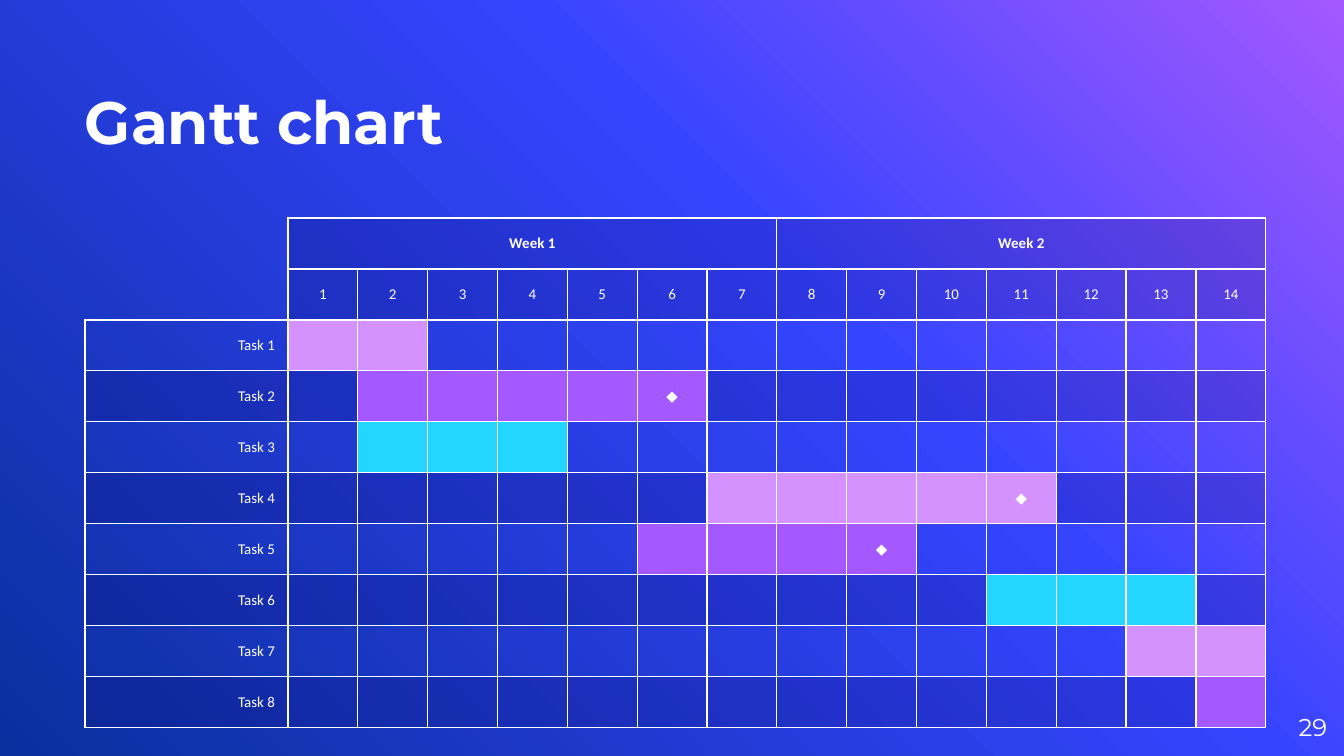
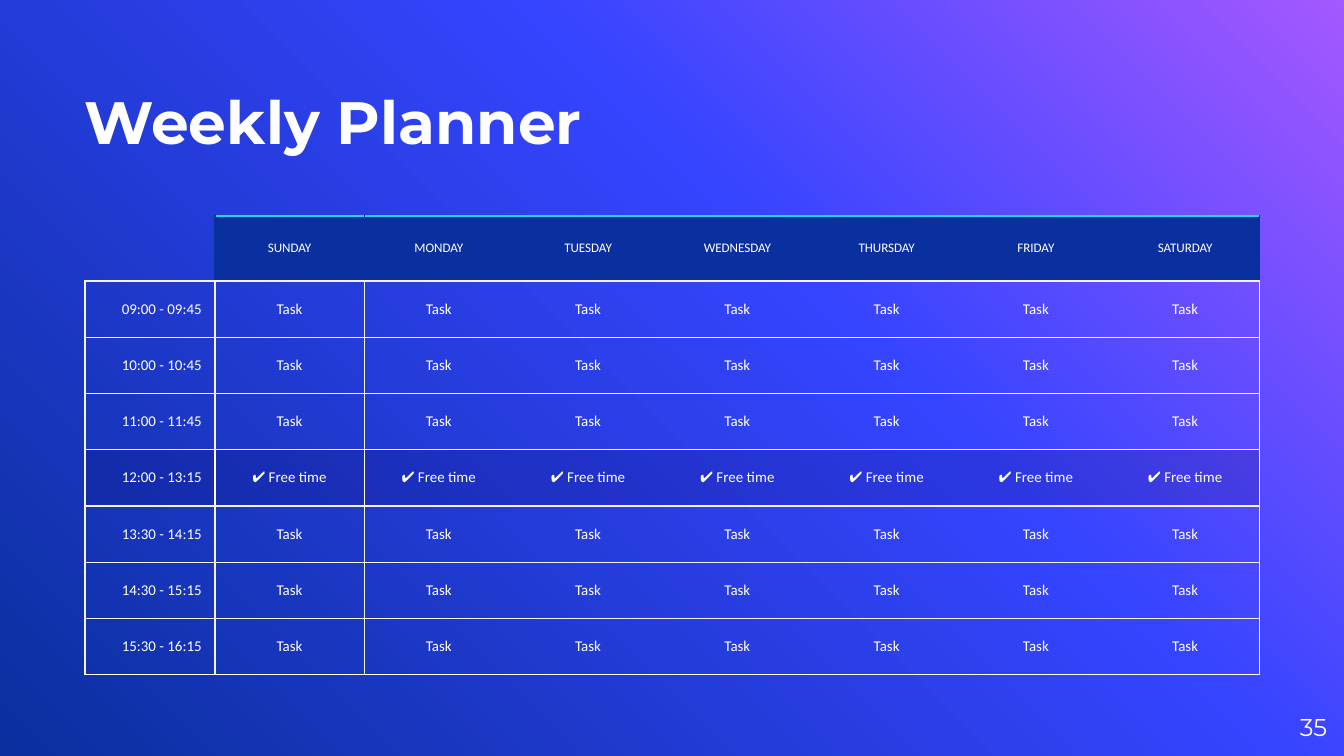
"""Build a Gantt chart slide and a weekly planner slide on a shared gradient."""
from lxml.etree import SubElement
from pptx import Presentation
from pptx.dml.color import RGBColor as RGB
from pptx.enum.text import MSO_ANCHOR as ANCHOR, MSO_AUTO_SIZE as FIT, PP_ALIGN as ALIGN
from pptx.oxml import parse_xml
from pptx.oxml.ns import nsdecls, qn
from pptx.util import Pt

PX = 914400 / 134.4
HUES = {
    "white": "FFFFFF", "mist": "F3F3F3", "navy": "0A2F9E", "blue": "3544FF",
    "violet": "A458FF", "lilac": "D392FF", "cyan": "24D6FF", "veil": "050060",
}
NO_STYLE = "{2D5ABB26-0587-4C30-8999-92F81FD0307C}"
PAGES = [("Gantt chart", "29"), ("Weekly Planner", "35")]
BARS = [
    (1, 2, "lilac", 0), (2, 6, "violet", 6), (2, 4, "cyan", 0), (7, 11, "lilac", 11),
    (6, 9, "violet", 9), (11, 13, "cyan", 0), (13, 14, "lilac", 0), (14, 14, "violet", 0),
]
DAYS = ["SUNDAY", "MONDAY", "TUESDAY", "WEDNESDAY", "THURSDAY", "FRIDAY", "SATURDAY"]
HOURS = [
    "09:00 - 09:45", "10:00 - 10:45", "11:00 - 11:45", "12:00 - 13:15",
    "13:30 - 14:15", "14:30 - 15:15", "15:30 - 16:15",
]


def write(frame, text, size, face, align, bold=False):
    """Set one styled line of white text."""
    frame.text = text
    line = frame.paragraphs[0]
    line.alignment = align
    for run in line.runs:
        run.font.size, run.font.name, run.font.bold = Pt(size), face, bold
        run.font.color.rgb = RGB.from_string(HUES["white"])
    if not text:
        line._p.get_or_add_endParaRPr().set("sz", str(size * 100))


def dress(cell, text, size, align, pad, fill, edges, bold=False):
    """Fill in a table cell with its text, tint and borders."""
    write(cell.text_frame, text, size, "Calibri", align, bold)
    cell.vertical_anchor = ANCHOR.MIDDLE
    cell.margin_left = cell.margin_right = int(13 * PX)
    cell.margin_top = cell.margin_bottom = int(pad * PX)
    cell.fill.background()
    props = cell._tc.get_or_add_tcPr()
    if fill:
        cell.fill.solid()
        cell.fill.fore_color.rgb = RGB.from_string(HUES[fill])
    if fill == "veil":
        SubElement(props.find(".//" + qn("a:srgbClr")), qn("a:alpha"), val="18000")
    sides = [side for side in "LRTB" if side in edges]
    for spot, side in enumerate(sides):
        props.insert(spot, parse_xml(
            f'<a:ln{side} {nsdecls("a")} w="9525"><a:solidFill>'
            f'<a:srgbClr val="{HUES[edges[side]]}"/></a:solidFill></a:ln{side}>'))


deck = Presentation()
deck.slide_width, deck.slide_height = int(1344 * PX), int(756 * PX)

stops = "".join(
    f'<a:gs pos="{spot * 1000}"><a:srgbClr val="{HUES[hue]}"/></a:gs>'
    for spot, hue in [(0, "violet"), (39, "blue"), (100, "navy")])
base = deck.slide_master.element.cSld
base.remove(base.bg)
base.insert(0, parse_xml(
    f'<p:bg {nsdecls("p", "a")}><p:bgPr><a:gradFill rotWithShape="1"><a:gsLst>{stops}</a:gsLst>'
    '<a:lin ang="8100000" scaled="0"/></a:gradFill><a:effectLst/></p:bgPr></p:bg>'))

slides = []
for name, page in PAGES:
    slide = deck.slides.add_slide(deck.slide_layouts[5])
    title = slide.shapes.title
    title.left, title.top, title.width, title.height = [int(n * PX) for n in (85, 31, 884, 126)]
    foot = slide.shapes.add_textbox(*[int(n * PX) for n in (1246, 698, 81, 58)])
    write(title.text_frame, name, 32, "Montserrat", ALIGN.LEFT, True)
    write(foot.text_frame, page, 13, "Montserrat", ALIGN.RIGHT)
    for box, anchor in [(title, ANCHOR.BOTTOM), (foot, ANCHOR.MIDDLE)]:
        frame = box.text_frame
        frame.margin_left = frame.margin_right = frame.margin_top = frame.margin_bottom = 0
        frame.word_wrap, frame.auto_size = True, FIT.NONE
        frame.vertical_anchor = anchor
    slides.append(slide)

SIZES = [
    (10, 15, 85, 218, 203, 978, 51, 459),
    (8, 8, 85, 216, 130, 1045, 65, 394),
]
grids = []
for slide, (rows, cols, left, top, side, wide, head, tall) in zip(slides, SIZES):
    grid = slide.shapes.add_table(
        rows, cols, *[int(n * PX) for n in (left, top, side + wide, head + tall)]).table
    grid.first_row = grid.horz_banding = False
    grid._tbl.tblPr.find(qn("a:tableStyleId")).text = NO_STYLE
    for i, col in enumerate(grid.columns):
        col.width = int((wide / (cols - 1) if i else side) * PX)
    for i, row in enumerate(grid.rows):
        row.height = int((tall / (rows - 1) if i else head) * PX)
    grids.append(grid)

gantt, plan = grids

box = dict.fromkeys("LRTB", "white")
dress(gantt.cell(0, 0), "", 8, ALIGN.RIGHT, 7, None, {"R": "white"})
dress(gantt.cell(1, 0), "", 8, ALIGN.RIGHT, 7, None, {"R": "white", "B": "white"})
for day in range(1, 15):
    week = f"Week {day // 7 + 1}" if day in (1, 8) else ""
    dress(gantt.cell(0, day), week, 8, ALIGN.CENTER, 7, "veil", box, True)
    dress(gantt.cell(1, day), str(day), 8, ALIGN.CENTER, 7, "veil", box)
for first in (1, 8):
    gantt.cell(0, first).merge(gantt.cell(0, first + 6))
for i, (start, end, hue, mark) in enumerate(BARS):
    band = "veil" if i % 2 else None
    dress(gantt.cell(i + 2, 0), f"Task {i + 1}", 8, ALIGN.RIGHT, 7, band, box)
    for day in range(1, 15):
        tint = hue if start <= day <= end else band
        sign = "◆" if day == mark else ""
        dress(gantt.cell(i + 2, day), sign, 8, ALIGN.CENTER, 7, tint, box)

dress(plan.cell(0, 0), "", 7, ALIGN.RIGHT, 13, None, {"R": "navy", "B": "mist"})
for j, day in enumerate(DAYS, 1):
    edges = {"T": "cyan", "B": "mist"}
    if j == 1:
        edges["L"] = "navy"
    if j == len(DAYS):
        edges["R"] = "navy"
    dress(plan.cell(0, j), day, 7, ALIGN.CENTER, 13, "navy", edges)
for i, hour in enumerate(HOURS, 1):
    free = hour.startswith("12")
    band = "veil" if free else None
    rule = {"T": "mist", "B": "white" if i == len(HOURS) else "mist"}
    seam = "white" if free else "mist"
    dress(plan.cell(i, 0), hour, 8, ALIGN.RIGHT, 13, band, {**rule, "L": "mist", "R": seam})
    for j in range(1, len(DAYS) + 1):
        edges = dict(rule)
        if j == 1:
            edges["L"] = seam
        if j == len(DAYS):
            edges["R"] = "mist"
        task = "✔ Free time" if free else "Task"
        dress(plan.cell(i, j), task, 8, ALIGN.CENTER, 13, band, edges)

deck.save("out.pptx")
